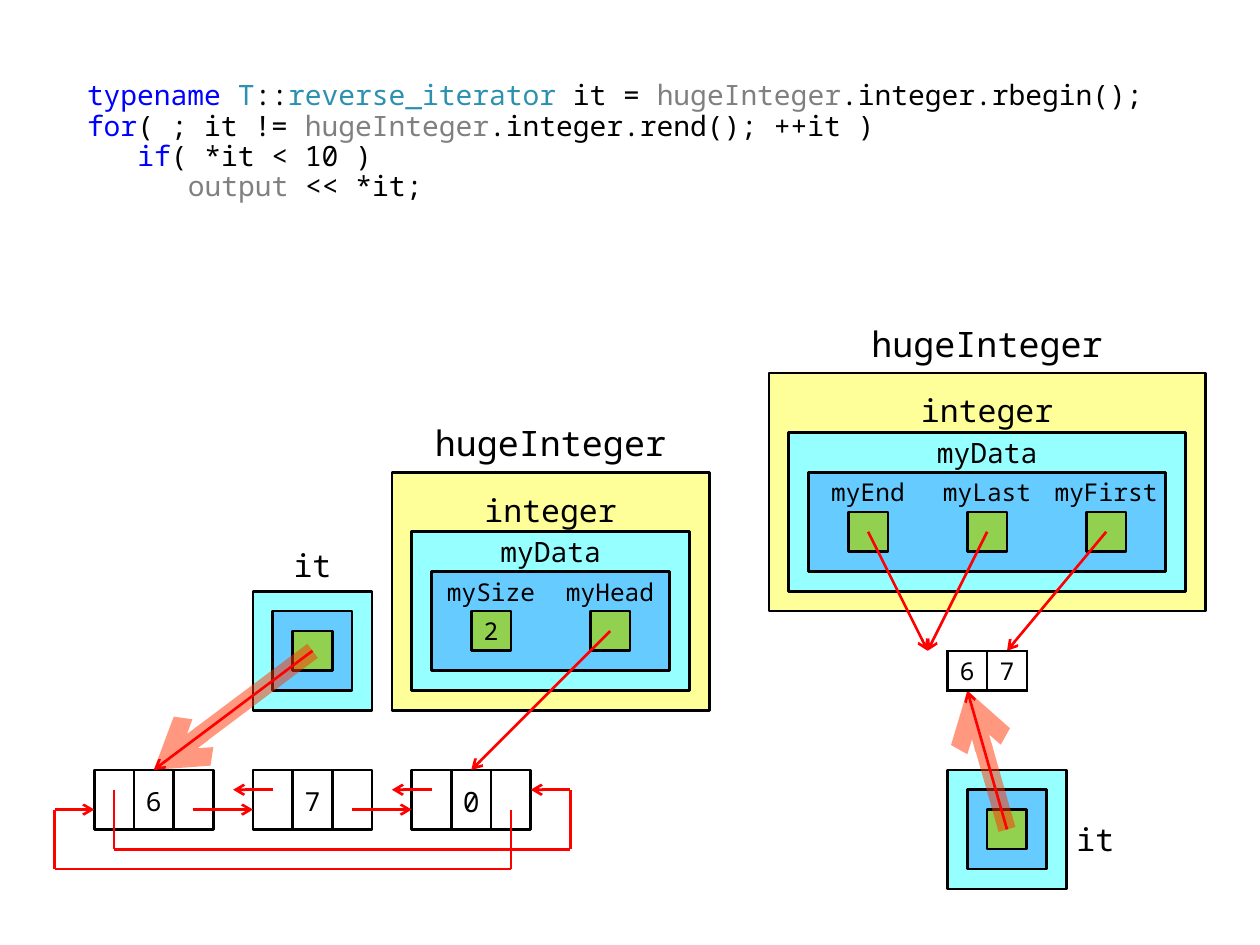
from pptx import Presentation
from pptx import util as u
from pptx.dml.color import RGBColor
from pptx.enum import shapes, text
from pptx.oxml import ns
from lxml import etree

FONT = "Noto Sans Mono"
COLORS = {
    "black": "000000", "key": "0000FF", "type": "2B91AF", "param": "808080",
    "yellow": "FFFF99", "cyan": "96FFFF", "blue": "66CCFF", "green": "92D050",
    "red": "FF0000", "glow": "FF3300",
}
CODE = [
    (0, [("typename ", "key"), ("T", "type"), ("::", "black"),
         ("reverse_iterator", "type"), (" it = ", "black"),
         ("hugeInteger", "param"), (".integer.rbegin();", "black")]),
    (0, [("for", "key"), ("( ; it != ", "black"), ("hugeInteger", "param"),
         (".integer.rend(); ++it )", "black")]),
    (3, [("if", "key"), ("( *it < 10 )", "black")]),
    (6, [("output", "param"), (" << *it;", "black")]),
]
RECT = shapes.MSO_SHAPE.RECTANGLE
FLOW = shapes.MSO_SHAPE.FLOWCHART_PROCESS


def color(name):
    """Return the named colour."""
    return RGBColor.from_string(COLORS[name])


def left(x):
    """Turn a grid column into a length."""
    return u.Cm(0.3 + 0.4 * x)


def top(y):
    """Turn a grid row into a length."""
    return u.Cm(0.32 + 0.4 * y)


def span(n):
    """Turn a count of grid steps into a length."""
    return u.Cm(0.4 * n)


def sub(node, tag, **attrs):
    """Append a DrawingML element."""
    return etree.SubElement(node, ns.qn("a:" + tag), attrs)


class Sketch:
    """Draws memory diagrams on a 0.4 cm grid."""

    def __init__(self, slide):
        self.slide = slide
        self.shapes = slide.shapes

    def style(self, run, size, tint="black"):
        """Set the font of one run."""
        run.font.name, run.font.size = FONT, u.Pt(size)
        run.font.color.rgb = color(tint)

    def fit(self, shape, words, size, pads=(0.2, 0.12, 0.2, 0.12), center=True):
        """Put one line of text into a shape."""
        frame = shape.text_frame
        frame.word_wrap = True
        frame.vertical_anchor = text.MSO_ANCHOR.MIDDLE
        (frame.margin_left, frame.margin_top,
         frame.margin_right, frame.margin_bottom) = map(u.Cm, pads)
        frame.text = words
        para = frame.paragraphs[0]
        para.alignment = text.PP_ALIGN.CENTER if center else text.PP_ALIGN.LEFT
        self.style(para.runs[0], size)

    def box(self, x, y, w, h, fill=None, kind=FLOW, edge=True):
        """Add a box, filled and outlined on demand."""
        shape = self.shapes.add_shape(kind, left(x), top(y), span(w), span(h))
        shape.shadow.inherit = False
        if fill:
            shape.fill.solid()
            shape.fill.fore_color.rgb = color(fill)
        else:
            shape.fill.background()
        if edge:
            shape.line.color.rgb = color("black")
            shape.line.width = u.Pt(1.5)
        else:
            shape.line.fill.background()
        return shape

    def label(self, x, y, w, h, words, size, **opts):
        """Add a free text."""
        shape = self.shapes.add_textbox(left(x), top(y), span(w), span(h))
        self.fit(shape, words, size, **opts)

    def line(self, start, end, head=True, tint="red", width=1.5, alpha=None):
        """Add a straight line, with an arrowhead by default."""
        link = self.shapes.add_connector(
            shapes.MSO_CONNECTOR.STRAIGHT, left(start[0]), top(start[1]),
            left(end[0]), top(end[1]))
        link.line.color.rgb = color(tint)
        link.line.width = u.Pt(width)
        props = link._element.spPr
        edge = props.find(ns.qn("a:ln"))
        if alpha:
            sub(edge.find(".//" + ns.qn("a:srgbClr")), "alpha", val=str(alpha * 1000))
        if head:
            sub(edge, "tailEnd", type="arrow")
        sub(props, "effectLst")

    def trace(self, *spots):
        """Join spots with lines, the last one an arrow."""
        for i in range(1, len(spots)):
            self.line(spots[i - 1], spots[i], head=i == len(spots) - 1)

    def code(self, rows):
        """Fill the body placeholder with coloured code."""
        body = self.slide.placeholders[1]
        body.left, body.top = u.Cm(1.5), u.Cm(1.52)
        body.width, body.height = u.Cm(22.4), u.Cm(3.2)
        frame = body.text_frame
        frame.auto_size = text.MSO_AUTO_SIZE.NONE
        for i, (depth, parts) in enumerate(rows):
            para = frame.add_paragraph() if i else frame.paragraphs[0]
            para.line_spacing, para.space_before = 0.9, u.Pt(0)
            props = para._p.get_or_add_pPr()
            props.set("marL", str(u.Pt(9.6 * depth)))
            props.set("indent", "0")
            sub(props, "buNone")
            for part, tint in parts:
                run = para.add_run()
                run.text = part
                self.style(run, 16, tint)

    def number(self, x, y, fields):
        """Draw a hugeInteger whose data has the given (name, value) fields."""
        w = 6 * len(fields) + 4
        mid = x + w // 2
        self.box(x, y, w, 12, "yellow")
        self.box(x + 1, y + 3, w - 2, 8, "cyan")
        self.label(mid - 7, y - 3, 14, 3, "hugeInteger", 20)
        self.label(mid - 4, y, 8, 3, "integer", 18, pads=(0.2, 0.3, 0.2, 0))
        self.label(mid - 4, y + 3, 8, 2, "myData", 16, pads=(0.2, 0, 0.2, 0))
        self.box(x + 2, y + 5, w - 4, 5, "blue")
        for i, (name, value) in enumerate(fields):
            spot = x + 2 + 6 * i
            tag = self.box(spot, y + 5, 6, 2, edge=False)
            self.fit(tag, name, 14, (0.1, 0.12, 0.1, 0.12))
            cell = self.box(spot + 2, y + 7, 2, 2, "green", RECT)
            if value:
                self.fit(cell, value, 14)

    def pointer(self, x, y, goal):
        """Draw an iterator and its highlighted arrow."""
        for i, tint in enumerate(("cyan", "blue")):
            self.box(x + i, y + i, 6 - 2 * i, 6 - 2 * i, tint)
        self.box(x + 2, y + 2, 2, 2, "green", RECT)
        start = (x + 3, y + 3)
        self.line(start, goal, tint="glow", width=10, alpha=50)
        self.line(start, goal)

    def node(self, x, y, value, size):
        """Draw a list node of three cells."""
        for i in range(3):
            cell = self.box(x + 2 * i, y, 2, 3, kind=RECT)
            if i == 1:
                self.fit(cell, value, size, (0, 0.15, 0, 0.1))

    def array(self, x, y, values):
        """Draw an array as a one-row table."""
        n = len(values)
        table = self.shapes.add_table(
            1, n, left(x), top(y), span(2 * n), span(2)).table
        table.first_row = table.horz_banding = False
        for i, value in enumerate(values):
            cell = table.cell(0, i)
            cell.margin_left = cell.margin_right = 0
            cell.margin_top = cell.margin_bottom = 0
            cell.vertical_anchor = text.MSO_ANCHOR.MIDDLE
            cell.text = value
            para = cell.text_frame.paragraphs[0]
            para.alignment = text.PP_ALIGN.CENTER
            self.style(para.runs[0], 14)
            props = cell._tc.get_or_add_tcPr()
            for side in ("lnL", "lnR", "lnT", "lnB"):
                edge = sub(props, side, w=str(u.Pt(1.5)))
                sub(sub(edge, "solidFill"), "srgbClr", val=COLORS["black"])
            sub(props, "noFill")


def main():
    """Build and save the slide."""
    deck = Presentation()
    deck.slide_width, deck.slide_height = u.Cm(25.4), u.Cm(19.05)
    slide = deck.slides.add_slide(deck.slide_layouts[1])
    title = slide.shapes.title._element
    title.getparent().remove(title)
    art = Sketch(slide)
    art.code(CODE)

    art.number(38, 18, [("myEnd", ""), ("myLast", ""), ("myFirst", "")])
    for start, goal in ((55, 50), (49, 46), (43, 46)):
        art.line((start, 26), (goal, 32))
    art.pointer(47, 38, (48, 34))
    art.label(53, 40, 4, 3, "it", 18, center=False)
    art.array(47, 32, ["6", "7"])

    for i, (value, size) in enumerate((("6", 15), ("7", 15), ("0", 16))):
        art.node(4 + 8 * i, 38, value, size)
    for x in (4, 12):
        art.line((x + 9, 39), (x + 7, 39))
        art.line((x + 5, 40), (x + 8, 40))
    art.trace((25, 40), (25, 43), (2, 43), (2, 40), (4, 40))
    art.trace((5, 39), (5, 42), (28, 42), (28, 39), (26, 39))
    art.number(19, 23, [("mySize", "2"), ("myHead", "")])
    art.line((30, 31), (23, 38))
    art.pointer(12, 29, (7, 38))
    art.label(13, 26, 4, 3, "it", 18, pads=(0.2, 0.12, 0.2, 0))
    deck.save("out.pptx")


main()
